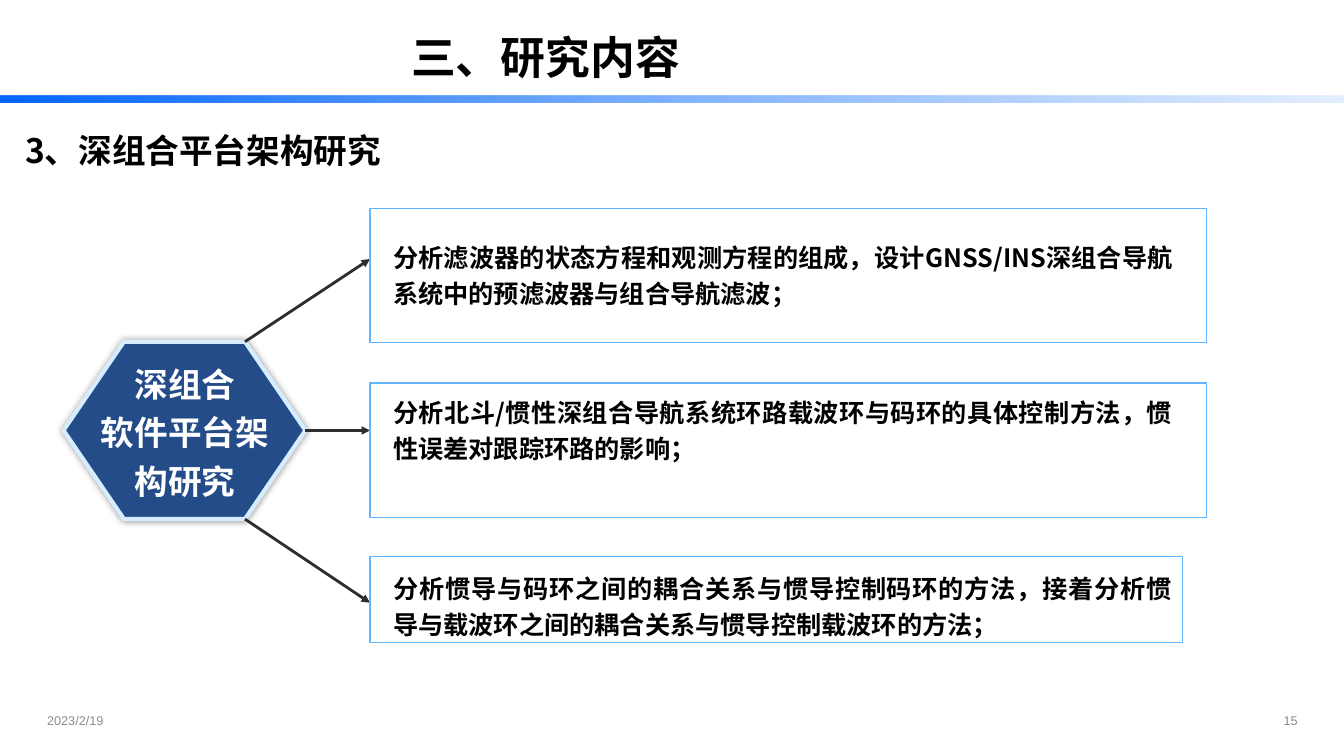
"""Build the research content slide on the deep integration platform."""
from dataclasses import dataclass

from lxml.etree import SubElement
from pptx import Presentation
from pptx.dml.color import RGBColor
from pptx.enum.shapes import MSO_CONNECTOR, MSO_SHAPE
from pptx.enum.text import MSO_ANCHOR, MSO_AUTO_SIZE, PP_ALIGN
from pptx.oxml.ns import qn
from pptx.util import Inches, Pt

TITLE = "三、研究内容"
HEADING = "3、深组合平台架构研究"
TOPIC = ["深组合", "软件平台架构研究"]
DATE, PAGE_NUMBER = "2023/2/19", "15"
PANELS = [
    {"text": "分析滤波器的状态方程和观测方程的组成，设计GNSS/INS深组合导航系统中的预滤波器与组合导航滤波；",
     "top": 2.07, "width": 8.3, "height": 1.33, "text_top": 2.29, "arrow_y": 2.57},
    {"text": "分析北斗/惯性深组合导航系统环路载波环与码环的具体控制方法，惯性误差对跟踪环路的影响；",
     "top": 3.8, "width": 8.3, "height": 1.33, "text_top": 3.83, "arrow_y": 4.27},
    {"text": "分析惯导与码环之间的耦合关系与惯导控制码环的方法，接着分析惯导与载波环之间的耦合关系与惯导控制载波环的方法；",
     "top": 5.52, "width": 8.06, "height": 0.85, "text_top": 5.58, "arrow_y": 5.98},
]
BAR_STOPS = [(0, 100), (50, 50), (100, 10)]
PANEL_LEFT, TEXT_LEFT, TEXT_WIDTH = 3.67, 3.8, 7.93
HEXAGON_LEFT, HEXAGON_TOP, HEXAGON_WIDTH, HEXAGON_HEIGHT = 0.63, 3.39, 2.4, 1.76
HEXAGON_CORNER = 0.6


@dataclass(frozen=True)
class Theme:
    """Colours, fonts and type sizes."""
    bar: str = "0066FF"
    ink: str = "000000"
    paper: str = "FFFFFF"
    hexagon: str = "244C89"
    hexagon_edge: str = "D6ECFF"
    arrow: str = "2E2C2C"
    panel_edge: str = "61B6FF"
    date: str = "8C8C8C"
    number: str = "898989"
    latin: str = "Arial"
    chinese: str = "Noto Sans CJK SC"
    title_size: int = 32
    heading_size: int = 24
    body_size: int = 18
    footer_size: int = 9


THEME = Theme()


def color(value):
    return RGBColor.from_string(value)


def add_element(parent, tag, **attributes):
    return SubElement(parent, qn(tag), {name: str(value) for name, value in attributes.items()})


def add_tinted(parent, value, opacity):
    tint = add_element(parent, "a:srgbClr", val=value)
    add_element(tint, "a:alpha", val=opacity * 1000)


def add_text(page, area, lines, size, ink=THEME.ink, face=THEME.chinese, bold=True,
             align=PP_ALIGN.LEFT, spacing=1.0, anchor=MSO_ANCHOR.TOP, grow=True):
    box = page.shapes.add_textbox(*map(Inches, area))
    frame = box.text_frame
    frame.word_wrap = True
    frame.auto_size = MSO_AUTO_SIZE.SHAPE_TO_FIT_TEXT if grow else MSO_AUTO_SIZE.NONE
    frame.vertical_anchor = anchor
    frame.text = "\n".join(lines)
    for para in frame.paragraphs:
        para.alignment = align
        para.line_spacing = spacing
        font = para.font
        font.name, font.size, font.bold = face, Pt(size), bold
        font.color.rgb = color(ink)
        properties = para._p.pPr.find(qn("a:defRPr"))
        add_element(properties, "a:ea", typeface=THEME.chinese)


def add_shape(page, kind, area, fill, edge=None, weight=0):
    shape = page.shapes.add_shape(kind, *map(Inches, area))
    shape.shadow.inherit = False
    shape.fill.solid()
    shape.fill.fore_color.rgb = color(fill)
    if edge:
        shape.line.color.rgb = color(edge)
        shape.line.width = Pt(weight)
    else:
        shape.line.fill.background()
    return shape


def add_bar(page):
    bar = add_shape(page, MSO_SHAPE.RECTANGLE, (0, 0.95, 13.33, 0.07), THEME.bar)
    bar.fill.gradient()
    gradient = bar._element.spPr.find(qn("a:gradFill"))
    for child in list(gradient):
        gradient.remove(child)
    stops = add_element(gradient, "a:gsLst")
    for position, opacity in BAR_STOPS:
        add_tinted(add_element(stops, "a:gs", pos=position * 1000), THEME.bar, opacity)
    add_element(gradient, "a:lin", ang=315 * 60000, scaled=0)


def add_hexagon(page):
    area = (HEXAGON_LEFT, HEXAGON_TOP, HEXAGON_WIDTH, HEXAGON_HEIGHT)
    hexagon = add_shape(page, MSO_SHAPE.HEXAGON, area, THEME.hexagon, THEME.hexagon_edge, 3)
    hexagon.adjustments[0] = HEXAGON_CORNER / HEXAGON_HEIGHT
    effects = hexagon._element.spPr.find(qn("a:effectLst"))
    shadow = add_element(effects, "a:outerShdw", blurRad=Pt(5), dist=0, dir=0, rotWithShape=0)
    add_tinted(shadow, THEME.ink, 40)


def add_arrow(page, start, end):
    arrow = page.shapes.add_connector(MSO_CONNECTOR.STRAIGHT, *map(Inches, start + end))
    arrow.line.color.rgb = color(THEME.arrow)
    arrow.line.width = Pt(0)
    add_element(arrow.line._get_or_add_ln(), "a:tailEnd", type="triangle")
    add_element(arrow._element.spPr, "a:effectLst")


def main():
    deck = Presentation()
    deck.slide_width, deck.slide_height = Inches(13.33), Inches(7.5)
    page = deck.slides.add_slide(deck.slide_layouts[6])

    add_bar(page)
    footer = {"size": THEME.footer_size, "face": THEME.latin, "bold": False,
              "anchor": MSO_ANCHOR.MIDDLE, "grow": False}
    add_text(page, (0.37, 6.95, 3.11, 0.4), [DATE], ink=THEME.date, **footer)
    add_text(page, (9.86, 6.95, 3.11, 0.4), [PAGE_NUMBER], ink=THEME.number,
             align=PP_ALIGN.RIGHT, **footer)

    add_hexagon(page)
    right = HEXAGON_LEFT + HEXAGON_WIDTH
    corner = right - HEXAGON_CORNER
    starts = [(corner, HEXAGON_TOP), (right, HEXAGON_TOP + HEXAGON_HEIGHT / 2),
              (corner, HEXAGON_TOP + HEXAGON_HEIGHT)]
    for start, panel in zip(starts, PANELS):
        add_arrow(page, start, (PANEL_LEFT, panel["arrow_y"]))
        add_shape(page, MSO_SHAPE.RECTANGLE,
                  (PANEL_LEFT, panel["top"], panel["width"], panel["height"]),
                  THEME.paper, THEME.panel_edge)
        add_text(page, (TEXT_LEFT, panel["text_top"], TEXT_WIDTH, 0.8), [panel["text"]],
                 THEME.body_size, align=PP_ALIGN.JUSTIFY, spacing=1.2)

    add_text(page, (0.8, 3.48, 2.07, 1.52), TOPIC, THEME.heading_size, THEME.paper,
             THEME.latin, align=PP_ALIGN.CENTER, spacing=1.2)
    add_text(page, (0.15, 0.84, 4, 0.79), [HEADING], THEME.heading_size, spacing=2.0)
    add_text(page, (3.98, 0.25, 6.67, 0.64), [TITLE], THEME.title_size)
    deck.save("out.pptx")


if __name__ == "__main__":
    main()
